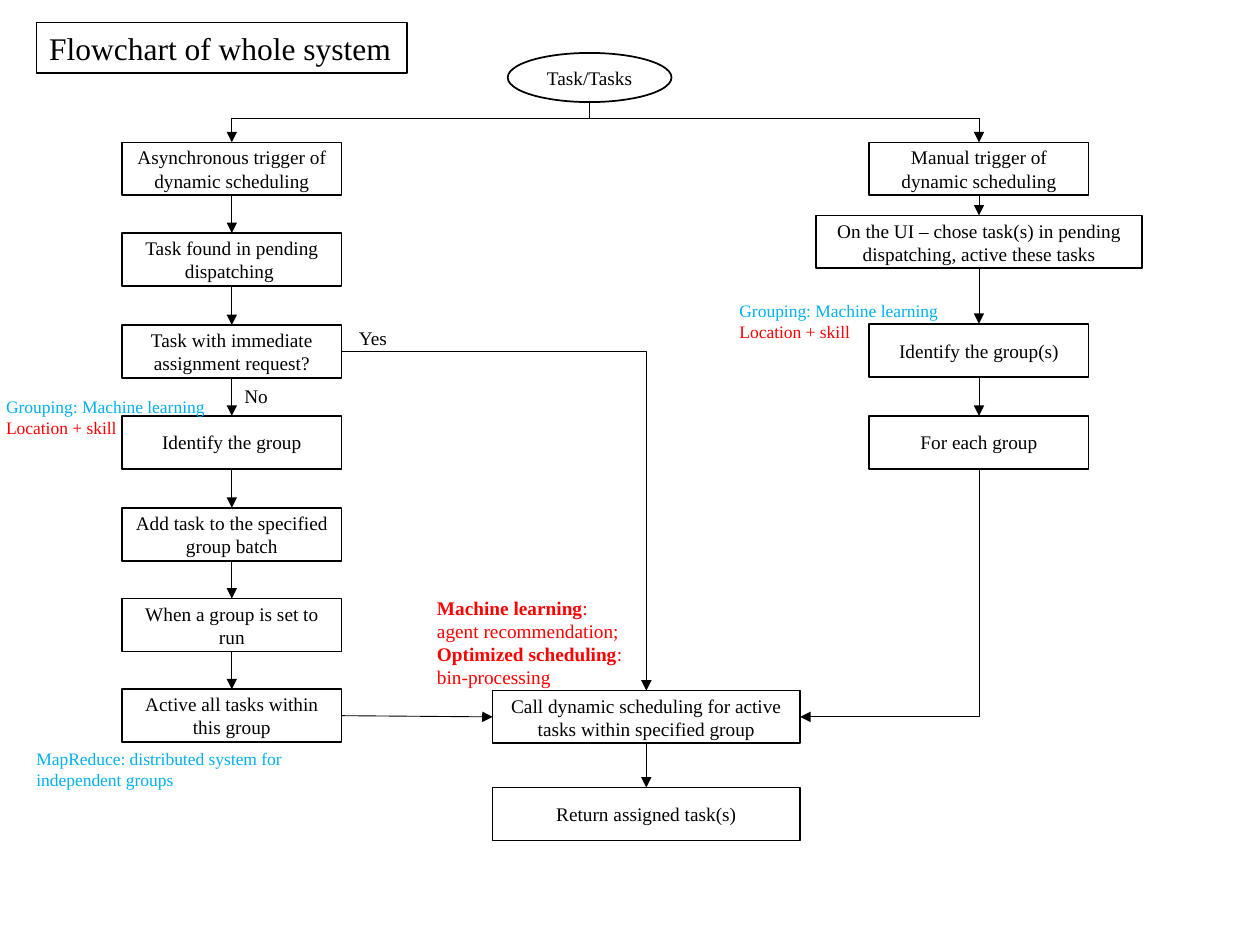
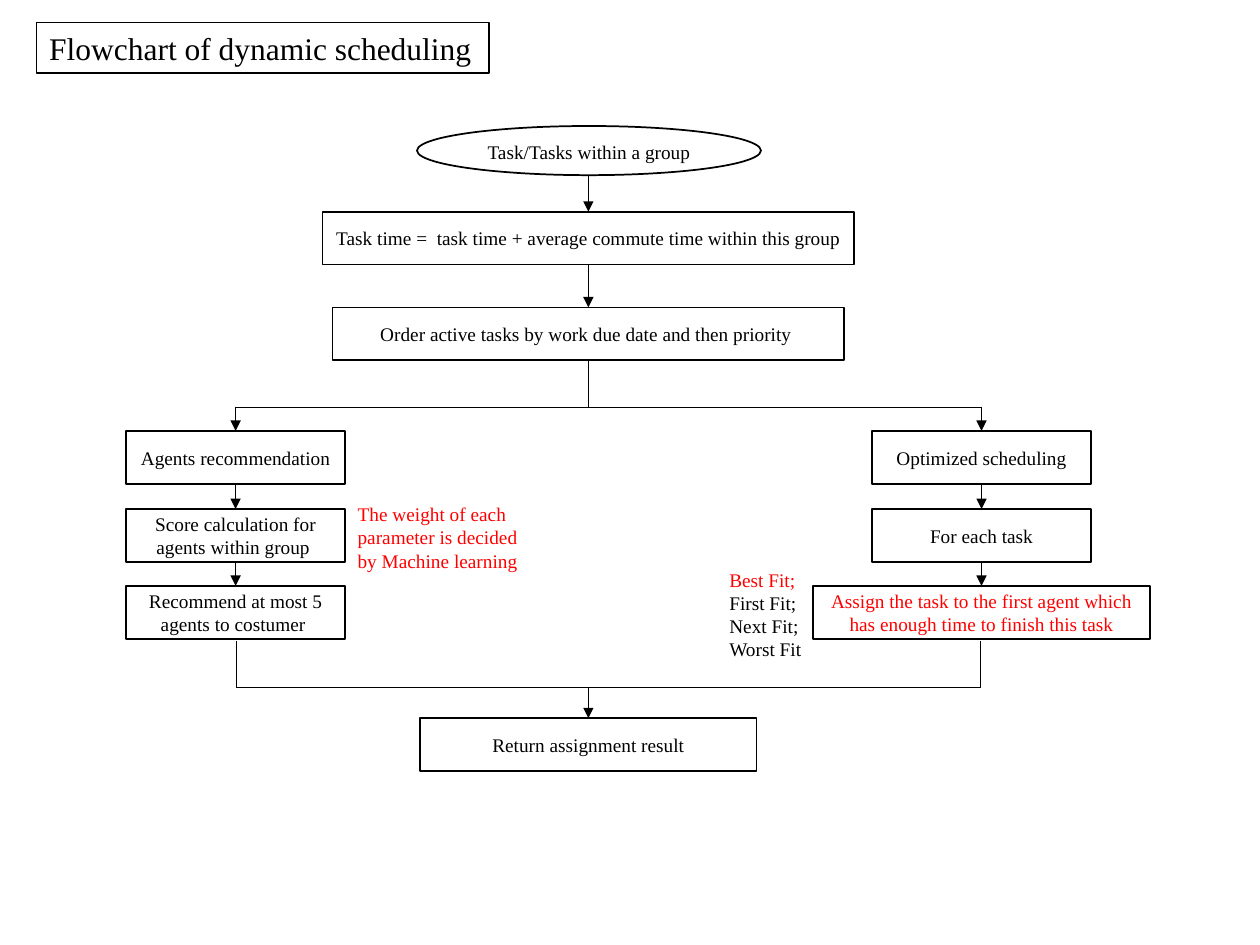
"""Build two flowchart slides: the whole system and its dynamic scheduling."""
from dataclasses import dataclass
from itertools import pairwise

from lxml.etree import SubElement
from pptx import Presentation
from pptx.dml.color import RGBColor
from pptx.enum.shapes import MSO_CONNECTOR, MSO_SHAPE
from pptx.enum.text import MSO_ANCHOR, MSO_AUTO_SIZE, PP_ALIGN
from pptx.oxml.ns import qn
from pptx.util import Pt

PX = 9144


@dataclass(frozen=True)
class Theme:
    font: str = "Times New Roman"
    black: RGBColor = RGBColor(0, 0, 0)
    white: RGBColor = RGBColor(255, 255, 255)
    red: RGBColor = RGBColor(255, 0, 0)
    blue: RGBColor = RGBColor(0, 176, 240)
    title: int = 18
    body: int = 11
    small: int = 10


T = Theme()


def write(sp, paras, size, align=PP_ALIGN.LEFT, anchor=MSO_ANCHOR.TOP, wrap=True):
    tf = sp.text_frame
    tf.auto_size = MSO_AUTO_SIZE.NONE
    tf.word_wrap = wrap
    tf.vertical_anchor = anchor
    for i, runs in enumerate(paras):
        p = tf.add_paragraph() if i else tf.paragraphs[0]
        p.alignment = align
        p.font.name = T.font
        p.font.size = Pt(size)
        for text, ink, bold in runs:
            r = p.add_run()
            r.text = text
            r.font.color.rgb = ink
            r.font.bold = bold


def connect(s, x1, y1, x2, y2, arrow=True, kind=MSO_CONNECTOR.STRAIGHT):
    c = s.shapes.add_connector(kind, x1 * PX, y1 * PX, x2 * PX, y2 * PX)
    c.line.color.rgb = T.black
    c.line.width = Pt(0.5)
    if arrow:
        SubElement(c.line._get_or_add_ln(), qn("a:tailEnd"), type="triangle")
    SubElement(c._element.spPr, qn("a:effectLst"))
    return c


system_steps = [
    "Asynchronous trigger of dynamic scheduling",
    "Task found in pending dispatching ",
    "Task with immediate assignment request?",
    "Identify the group",
    "Add task to the specified group batch",
    "When a group is set to run",
    "Active all tasks within this group",
]

slides = [
    {
        "title": ("Flowchart of whole system", 294),
        "start": (403, 42, 130, "Task/Tasks"),
        "columns": [
            (184, [(113 + round(72.4 * i), 174, text, T.black) for i, text in enumerate(system_steps)]),
            (777, [
                (113, 174, "Manual trigger of dynamic scheduling", T.black),
                (171, 259, "On the UI – chose task(s) in pending dispatching, active these tasks", T.black),
                (257, 174, "Identify the group(s)", T.black),
                (330, 174, "For each group", T.black),
            ]),
            (513, [
                (548, 244, "Call dynamic scheduling for active tasks within specified group", T.black),
                (625, 244, "Return assigned task(s)", T.black),
            ]),
        ],
        "lines": [(468, 81, 468, 94), (184, 94, 777, 94)],
        "arrows": [(184, 94, 184, 113), (777, 94, 777, 113), (271, 568, 391, 569)],
        "elbows": [(271, 279, 513, 548, 0), (608, 400, 804, 542, 90)],
        "notes": [
            (184, 300, 71, 29, T.body, [[("No", T.black, False)]]),
            (275, 254, 71, 29, T.body, [[("Yes", T.black, False)]]),
            (577, 233, 182, 44, T.small, [
                [("Grouping: Machine learning", T.blue, False)],
                [("Location + skill", T.red, False)],
            ]),
            (-5, 309, 180, 44, T.small, [
                [("Grouping: Machine learning ", T.blue, False), ("Location + skill", T.red, False)],
            ]),
            (337, 468, 173, 84, T.body, [
                [("Machine learning", T.red, True), (": agent recommendation;", T.red, False)],
                [("Optimized scheduling", T.red, True), (": bin-processing", T.red, False)],
            ]),
            (19, 589, 226, 44, T.small, [
                [("MapReduce: distributed system for independent groups", T.blue, False)],
            ]),
        ],
    },
    {
        "title": ("Flowchart of dynamic scheduling", 359),
        "start": (331, 100, 273, "Task/Tasks within a group"),
        "columns": [
            (467, [
                (168, 422, "Task time =  task time + average commute time within this group", T.black),
                (244, 406, "Order active tasks by work due date and then priority ", T.black),
            ]),
            (187, [
                (342, 174, "Agents recommendation", T.black),
                (404, 174, "Score calculation for agents within group ", T.black),
                (465, 174, "Recommend at most 5 agents to costumer ", T.black),
            ]),
            (779, [
                (342, 174, "Optimized scheduling", T.black),
                (404, 174, "For each task", T.black),
                (465, 267, "Assign the task to the first agent which has enough time to finish this task", T.red),
            ]),
            (467, [(570, 267, "Return assignment result", T.black)]),
        ],
        "lines": [
            (467, 286, 467, 323), (187, 323, 779, 323),
            (188, 546, 778, 546), (188, 509, 188, 546), (778, 509, 778, 546),
        ],
        "arrows": [(467, 139, 467, 168), (187, 323, 187, 342), (779, 323, 779, 342), (467, 546, 467, 570)],
        "elbows": [],
        "notes": [
            (274, 394, 163, 66, T.body, [
                [("The weight of each parameter is decided by Machine learning", T.red, False)],
            ]),
            (569, 446, 163, 84, T.body, [
                [("Best Fit;", T.red, False)],
                [("First Fit;", T.black, False)],
                [("Next Fit;", T.black, False)],
                [("Worst Fit", T.black, False)],
            ]),
        ],
    },
]

prs = Presentation()
prs.slide_width = 1000 * PX
prs.slide_height = 750 * PX

for chart in slides:
    s = prs.slides.add_slide(prs.slide_layouts[5])

    title, width = chart["title"]
    sp = s.shapes.title
    sp.left, sp.top, sp.width, sp.height = 29 * PX, 18 * PX, width * PX, 40 * PX
    sp.line.color.rgb = T.black
    sp.line.width = Pt(0.75)
    write(sp, [[(title, T.black, False)]], T.title, wrap=False)

    x, y, w, text = chart["start"]
    start = s.shapes.add_shape(MSO_SHAPE.OVAL, x * PX, y * PX, w * PX, 39 * PX)
    shapes = [(start, text, T.black)]
    for cx, steps in chart["columns"]:
        boxes = []
        for y, w, text, ink in steps:
            sp = s.shapes.add_shape(MSO_SHAPE.RECTANGLE, round((cx - w / 2) * PX), y * PX, w * PX, 42 * PX)
            boxes.append(sp)
            shapes.append((sp, text, ink))
        for upper, lower in pairwise(boxes):
            c = connect(s, cx, 0, cx, 0)
            c.begin_connect(upper, 2)
            c.end_connect(lower, 0)

    for sp, text, ink in shapes:
        sp.shadow.inherit = False
        sp.fill.solid()
        sp.fill.fore_color.rgb = T.white
        sp.line.color.rgb = T.black
        sp.line.width = Pt(1)
        write(sp, [[(text, ink, False)]], T.body, PP_ALIGN.CENTER, MSO_ANCHOR.MIDDLE)
    p = start.text_frame.paragraphs[0]
    p.line_spacing = 1.07
    p.space_after = Pt(8)

    for ends in chart["lines"]:
        connect(s, *ends, arrow=False)
    for ends in chart["arrows"]:
        connect(s, *ends)
    for *ends, turn in chart["elbows"]:
        c = connect(s, *ends, kind=MSO_CONNECTOR.ELBOW)
        c._element.spPr.find(qn("a:prstGeom")).set("prst", "bentConnector2")
        c._element.spPr.find(qn("a:xfrm")).set("rot", str(turn * 60000))

    for x, y, w, h, size, paras in chart["notes"]:
        write(s.shapes.add_textbox(x * PX, y * PX, w * PX, h * PX), paras, size)

prs.save("out.pptx")
